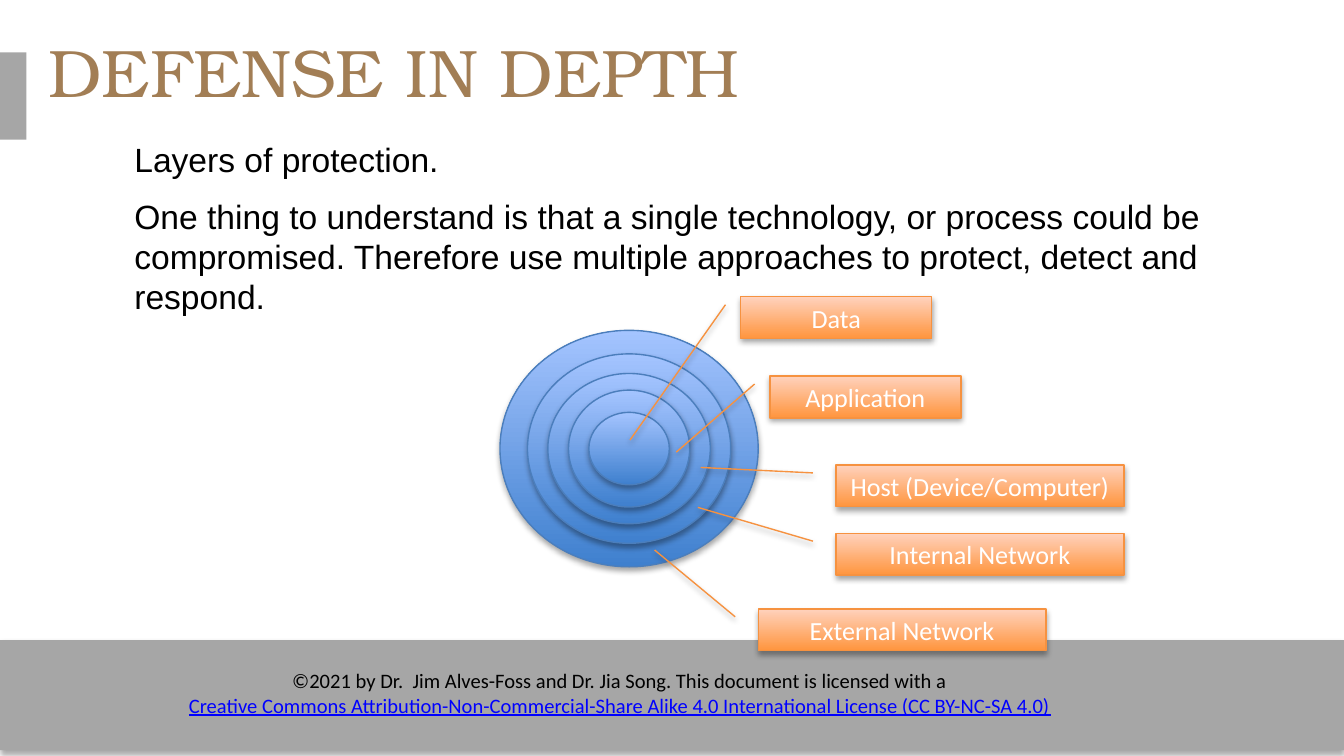
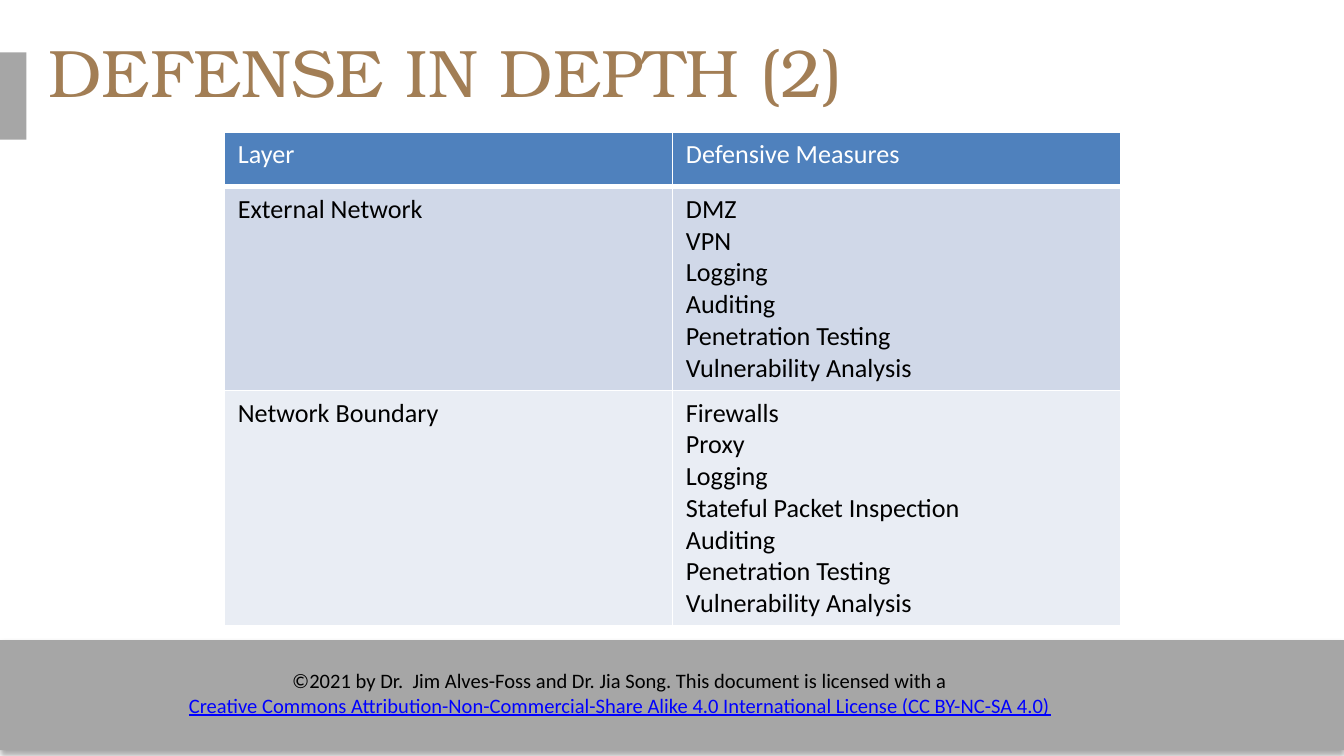
from lxml import etree
from pptx import Presentation
from pptx.dml.color import RGBColor
from pptx.enum import shapes, text
from pptx.oxml import ns
from pptx.util import Cm, Pt

GRAY = RGBColor(0xA6, 0xA6, 0xA6)
BROWN = RGBColor(0xA2, 0x7E, 0x55)
BLACK = RGBColor(0x00, 0x00, 0x00)
WHITE = RGBColor(0xFF, 0xFF, 0xFF)
LINK_BLUE = RGBColor(0x00, 0x00, 0xFF)
RING_LINE = RGBColor(0x4B, 0x7E, 0xBC)
RING_FILL = (RGBColor(0x3F, 0x80, 0xCE), RGBColor(0xA4, 0xC4, 0xFF))
LABEL_LINE = RGBColor(0xF6, 0x92, 0x40)
LABEL_FILL = (RGBColor(0xFF, 0x95, 0x3E), RGBColor(0xFF, 0xD2, 0xBD))
ROW_FILLS = (
    RGBColor(0x4F, 0x81, 0xBD),
    RGBColor(0xD0, 0xD8, 0xE8),
    RGBColor(0xE9, 0xED, 0xF4),
)


def write(frame, lines, size=14, font="Calibri", colors=(BLACK,), align=text.PP_ALIGN.LEFT,
          anchor=text.MSO_ANCHOR.TOP, margin=None, spacing=None, after=None):
    """Fill a text frame, one paragraph a line; the last colour serves the remaining lines."""
    frame.word_wrap = True
    frame.vertical_anchor = anchor
    if margin is not None:
        frame.margin_left = frame.margin_right = margin
        frame.margin_top = frame.margin_bottom = margin
    for index, line in enumerate(lines):
        paragraph = frame.paragraphs[0] if index == 0 else frame.add_paragraph()
        paragraph.alignment = align
        paragraph.line_spacing = spacing
        paragraph.space_after = after
        run = paragraph.add_run()
        run.text = line
        run.font.size = Pt(size)
        run.font.name = font
        run.font.bold = False
        run.font.color.rgb = colors[min(index, len(colors) - 1)]
        run.font.underline = True if run.font.color.rgb == LINK_BLUE else None


def paint(shape, fill, line=None, shadow=True):
    """Give a shape a plain or two-colour fill, an outline and a soft shadow below."""
    if isinstance(fill, RGBColor):
        shape.fill.solid()
        shape.fill.fore_color.rgb = fill
    else:
        shape.fill.gradient()
        shape.fill.gradient_angle = 90
        for stop, color in zip(shape.fill.gradient_stops, fill):
            stop.color.rgb = color
    if line is None:
        shape.line.fill.background()
    else:
        shape.line.color.rgb = line
        shape.line.width = Pt(0.75)
    shape.shadow.inherit = False
    if shadow:
        effects = shape.element.spPr.find(ns.qn("a:effectLst"))
        outer = etree.SubElement(effects, ns.qn("a:outerShdw"), blurRad=str(Pt(3.1)),
                                 dist=str(Pt(1.8)), dir="5400000", rotWithShape="0")
        black = etree.SubElement(outer, ns.qn("a:srgbClr"), val="000000")
        etree.SubElement(black, ns.qn("a:alpha"), val="35000")


prs = Presentation()
prs.slide_width = Cm(25.4)
prs.slide_height = Cm(14.29)
title_only = prs.slide_layouts[5]

# Shared parts: footer band, licence, side tab and title
for heading in ("DEFENSE IN DEPTH", "DEFENSE IN DEPTH (2)"):
    slide = prs.slides.add_slide(title_only)
    band = slide.shapes.add_shape(shapes.MSO_SHAPE.RECTANGLE, 0, Cm(12.1), Cm(25.4), Cm(2.08))
    paint(band, GRAY)
    licence = slide.shapes.add_textbox(Cm(2.57), Cm(12.5), Cm(18.29), Cm(1.19))
    write(licence.text_frame, (
        "©2021 by Dr.  Jim Alves-Foss and Dr. Jia Song. This document is licensed with a",
        "Creative Commons Attribution-Non-Commercial-Share Alike 4.0 International License "
        "(CC BY-NC-SA 4.0)",
    ), size=11, colors=(BLACK, LINK_BLUE), align=text.PP_ALIGN.CENTER)
    tab = slide.shapes.add_shape(shapes.MSO_SHAPE.RECTANGLE, Cm(-0.08), Cm(0.99), Cm(0.58), Cm(1.65))
    paint(tab, GRAY, shadow=False)
    title = slide.shapes.title
    title.left, title.top, title.width, title.height = Cm(0.91), Cm(0.58), Cm(22.86), Cm(1.6)
    write(title.text_frame, (heading,), size=36, font="TeX Gyre Bonum", colors=(BROWN,), margin=0)

layers_slide, measures_slide = prs.slides

# Slide 1: explanation
explanation = layers_slide.shapes.add_textbox(Cm(2.54), Cm(2.62), Cm(21.23), Cm(9.17))
write(explanation.text_frame, (
    "Layers of protection.",
    "One thing to understand is that a single technology, or process could be compromised. "
    "Therefore use multiple approaches to protect, detect and respond.",
), size=18, font="Arial", margin=0, spacing=Pt(21.6), after=Pt(9))

# Slide 1: concentric rings, outermost first
center_x, center_y = 11.89, 8.48
rings = layers_slide.shapes.add_group_shape()
for width, height in ((4.88, 4.47), (3.84, 3.58), (3.07, 2.84), (2.29, 2.21), (1.52, 1.37)):
    ring = rings.shapes.add_shape(
        shapes.MSO_SHAPE.FLOWCHART_CONNECTOR,
        Cm(center_x - width / 2), Cm(center_y - height / 2), Cm(width), Cm(height))
    paint(ring, RING_FILL, RING_LINE)

# Slide 1: layer labels, each with the end of its pointer as a share of height and width
for name, left, top, width, pointer_y, pointer_x in (
    ("Data", 14, 5.61, 3.61, 3.43, -0.58),
    ("Application", 14.55, 7.11, 3.61, 1.82, -0.49),
    ("Host (Device/Computer)", 15.8, 8.79, 5.44, 0.06, -0.47),
    ("Internal Network", 15.8, 10.08, 5.44, -0.62, -0.48),
    ("External Network", 14.33, 11.51, 5.44, -1.41, -0.36),
):
    label = layers_slide.shapes.add_shape(
        shapes.MSO_SHAPE.LINE_CALLOUT_1, Cm(left), Cm(top), Cm(width), Cm(0.79))
    for index, value in enumerate((0.19, -0.08, pointer_y, pointer_x)):
        label.adjustments[index] = value
    paint(label, LABEL_FILL, LABEL_LINE)
    write(label.text_frame, (name,), colors=(WHITE,), align=text.PP_ALIGN.CENTER,
          anchor=text.MSO_ANCHOR.MIDDLE)

# Slide 2: defensive measures by layer
measures = (
    (("Layer",), ("Defensive Measures",)),
    (("External Network",),
     ("DMZ", "VPN", "Logging", "Auditing", "Penetration Testing", "Vulnerability Analysis")),
    (("Network Boundary",),
     ("Firewalls", "Proxy", "Logging", "Stateful Packet Inspection", "Auditing",
      "Penetration Testing", "Vulnerability Analysis")),
)
row_heights = (1.04, 3.85, 4.45)
table = measures_slide.shapes.add_table(
    3, 2, Cm(4.24), Cm(2.49), Cm(16.94), Cm(sum(row_heights))).table
for row, (cells, height) in enumerate(zip(measures, row_heights)):
    table.rows[row].height = Cm(height)
    for column, lines in enumerate(cells):
        cell = table.cell(row, column)
        write(cell.text_frame, lines, colors=(WHITE if row == 0 else BLACK,))
        properties = cell._tc.get_or_add_tcPr()
        for side in "LRTB":
            weight = 3 if row == 0 and side == "B" else 1
            border = etree.SubElement(properties, ns.qn("a:ln" + side), w=str(Pt(weight)))
            solid = etree.SubElement(border, ns.qn("a:solidFill"))
            etree.SubElement(solid, ns.qn("a:srgbClr"), val=str(WHITE))
        cell.fill.solid()
        cell.fill.fore_color.rgb = ROW_FILLS[row]

prs.save("out.pptx")
